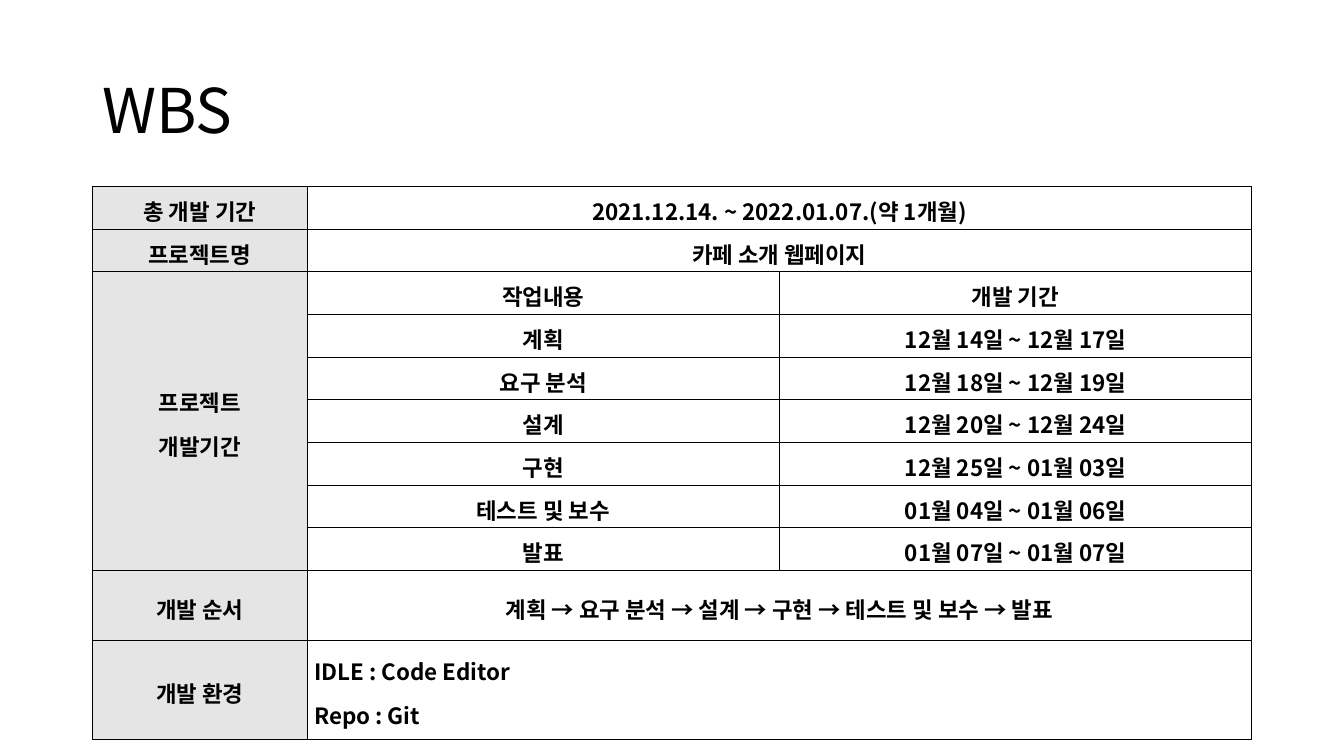
from lxml.etree import SubElement
from pptx import Presentation
from pptx.dml.color import RGBColor
from pptx.enum.text import MSO_ANCHOR as Anchor, PP_ALIGN as Align
from pptx.oxml.ns import qn
from pptx.util import Cm, Pt

FONT = "Noto Sans CJK KR"
BLACK = RGBColor(0x00, 0x00, 0x00)
GREY = RGBColor(0xE5, 0xE5, 0xE5)

TITLE = "WBS"
OVERVIEW = [
    ("총 개발 기간", "2021.12.14. ~ 2022.01.07.(약 1개월)"),
    ("프로젝트명", "카페 소개 웹페이지"),
]
SCHEDULE_LABEL = "프로젝트\n개발기간"
SCHEDULE = [
    ("작업내용", "개발 기간"),
    ("계획", "12월 14일 ~ 12월 17일"),
    ("요구 분석", "12월 18일 ~ 12월 19일"),
    ("설계", "12월 20일 ~ 12월 24일"),
    ("구현", "12월 25일 ~ 01월 03일"),
    ("테스트 및 보수", "01월 04일 ~ 01월 06일"),
    ("발표", "01월 07일 ~ 01월 07일"),
]
DETAILS = [
    ("개발 순서", " → ".join(task for task, _ in SCHEDULE[1:])),
    ("개발 환경", "IDLE : Code Editor\nRepo : Git"),
]

COLUMN_WIDTHS = [5.41, 11.9, 11.9]
SHORT_ROWS = len(OVERVIEW) + len(SCHEDULE)
ROW_HEIGHTS = [9.68 / SHORT_ROWS] * SHORT_ROWS + [1.77, 2.49]


def style(para, size, bold, spacing):
    para.line_spacing = spacing
    font = para.font
    font.name, font.size, font.bold = FONT, Pt(size), bold
    font.color.rgb = BLACK
    defaults = para._p.pPr.find(qn("a:defRPr"))
    defaults.set("kern", "0")
    SubElement(defaults, qn("a:ea")).set("typeface", FONT)


def add_borders(cell):
    properties = cell._tc.get_or_add_tcPr()
    for side in ("lnL", "lnR", "lnT", "lnB"):
        line = SubElement(properties, qn(f"a:{side}"), w=str(Pt(0.28)))
        fill = SubElement(line, qn("a:solidFill"))
        SubElement(fill, qn("a:srgbClr"), val=str(BLACK))


def write(cell, text, align=Align.CENTER):
    cell.text = text
    for para in cell.text_frame.paragraphs:
        para.alignment = align
        para.space_after = Pt(4)
        style(para, 16, True, 1.2)


deck = Presentation()
deck.slide_width, deck.slide_height = Cm(33.87), Cm(19.05)
page = deck.slides.add_slide(deck.slide_layouts[6])

box = page.shapes.add_textbox(Cm(2.33), Cm(1.01), Cm(29.21), Cm(3.68))
frame = box.text_frame
frame.word_wrap = True
frame.vertical_anchor = Anchor.MIDDLE
frame.text = TITLE
style(frame.paragraphs[0], 44, False, 0.9)

table = page.shapes.add_table(
    len(ROW_HEIGHTS), len(COLUMN_WIDTHS), Cm(2.33), Cm(4.69),
    Cm(sum(COLUMN_WIDTHS)), Cm(sum(ROW_HEIGHTS))).table
table.first_row = table.horz_banding = False
for column, width in zip(table.columns, COLUMN_WIDTHS):
    column.width = Cm(width)
for row, height in zip(table.rows, ROW_HEIGHTS):
    row.height = Cm(height)
    for index, cell in enumerate(row.cells):
        cell.margin_left = cell.margin_right = Cm(0.18)
        cell.margin_top = cell.margin_bottom = Cm(0.05)
        cell.vertical_anchor = Anchor.MIDDLE
        add_borders(cell)
        if index == 0:
            cell.fill.solid()
            cell.fill.fore_color.rgb = GREY
        else:
            cell.fill.background()

schedule_top = len(OVERVIEW)
details_top = schedule_top + len(SCHEDULE)
for top, pairs in ((0, OVERVIEW), (details_top, DETAILS)):
    for row, (label, value) in enumerate(pairs, top):
        table.cell(row, 1).merge(table.cell(row, 2))
        write(table.cell(row, 0), label)
        write(table.cell(row, 1), value, Align.LEFT if "\n" in value else Align.CENTER)

table.cell(schedule_top, 0).merge(table.cell(details_top - 1, 0))
write(table.cell(schedule_top, 0), SCHEDULE_LABEL)
for row, (task, period) in enumerate(SCHEDULE, schedule_top):
    write(table.cell(row, 1), task)
    write(table.cell(row, 2), period)

deck.save("out.pptx")
